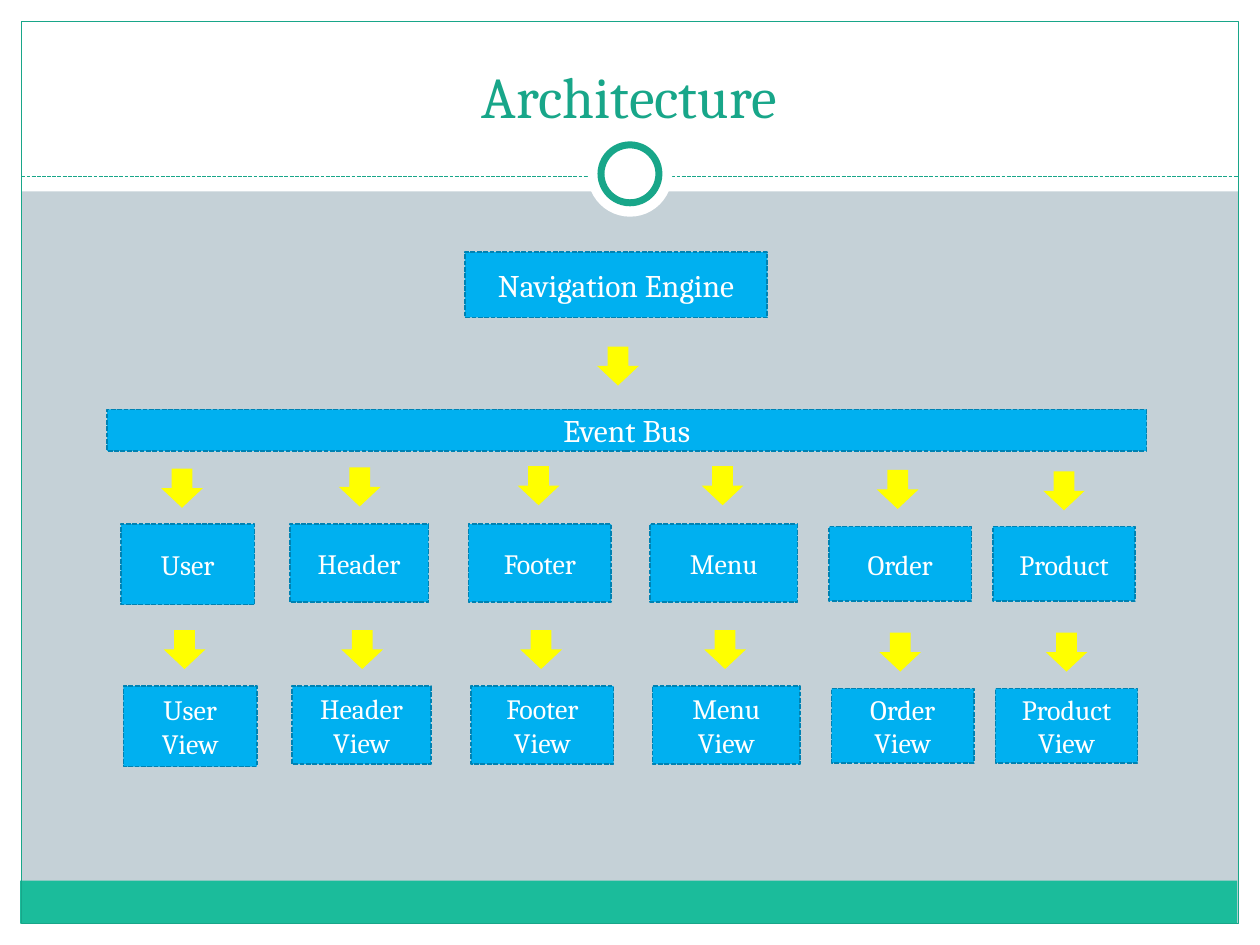
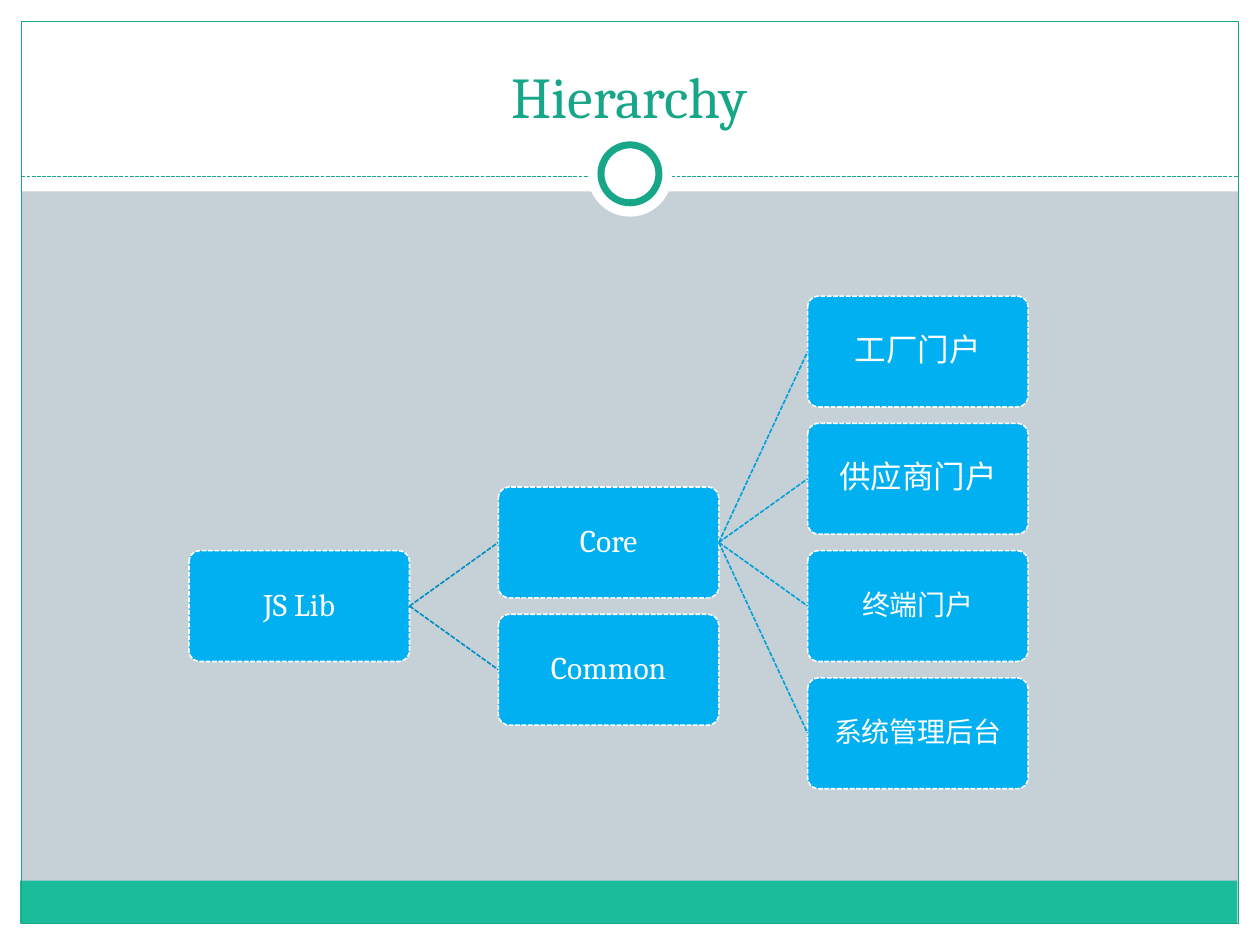
from dataclasses import dataclass
from typing import NamedTuple

from lxml.etree import SubElement
from pptx import Presentation
from pptx.dml.color import RGBColor
from pptx.enum.dml import MSO_LINE
from pptx.enum.shapes import MSO_CONNECTOR, MSO_SHAPE as Preset
from pptx.enum.text import MSO_ANCHOR as Anchor, PP_ALIGN as Align
from pptx.oxml.ns import qn
from pptx.shapes.autoshape import Shape
from pptx.shapes.connector import Connector
from pptx.slide import Slide
from pptx.util import Emu, Inches, Pt

COLUMNS, ROWS = 100, 75
WIDTH, HEIGHT = Inches(10), Inches(7.5)
FONT = "Cambria"
WHITE, GREY = "FFFFFF", "C5D1D7"
TEAL, MINT = "18A689", "1BBC9B"
BLUE, BLUE_EDGE, YELLOW = "00B0F0", "0082B2", "FFFF00"
LEFT_SIDE, RIGHT_SIDE = 1, 3


class Area(NamedTuple):
    column: float
    row: float
    columns: float
    rows: float

    def shifted(self, columns: float, rows: float) -> "Area":
        return Area(self.column + columns, self.row + rows, self.columns, self.rows)

    def lengths(self) -> list[Emu]:
        return [across(self.column), down(self.row), across(self.columns), down(self.rows)]


class Stroke(NamedTuple):
    color: str
    points: float
    dashed: bool = False


class Label(NamedTuple):
    lines: tuple[str, ...]
    size: float
    color: str = WHITE
    spacing: float = 1.0


@dataclass(frozen=True)
class Band:
    preset: Preset
    area: Area
    fill: str | None = WHITE
    stroke: Stroke | None = None


@dataclass(frozen=True)
class Module:
    name: str
    box: Area
    arrow_column: float
    arrow_row: float


@dataclass(frozen=True)
class Node:
    name: str
    tier: int
    slot: float
    parent: str | None = None
    size: int = 18


BACK_BANDS = (
    Band(Preset.RECTANGLE, Area(0, 73.3, COLUMNS, 1.7)),
    Band(Preset.RECTANGLE, Area(0, 0, COLUMNS, 15.2)),
    Band(Preset.RECTANGLE, Area(0, 0, 1.7, ROWS)),
    Band(Preset.RECTANGLE, Area(98.3, 0, 1.7, ROWS)),
    Band(Preset.RECTANGLE, Area(1.6, 69.9, 96.6, 3.4), MINT),
    Band(Preset.RECTANGLE, Area(1.7, 1.7, 96.6, 71.6), None, Stroke(TEAL, 0.75)),
)
RINGS = (
    Band(Preset.OVAL, Area(46.65, 10.5, 6.7, 6.7)),
    Band(Preset.OVAL, Area(47.7, 11.5, 4.6, 4.6), WHITE, Stroke(TEAL, 4)),
)
BOX_EDGE = Stroke(BLUE_EDGE, 0.9, True)
VIEW_SHIFT = (0.2, 12.85)
MODULES = (
    Module("User", Area(9.6, 41.6, 10.6, 6.4), 12.8, 37.2),
    Module("Header", Area(23, 41.6, 11, 6.2), 26.9, 37.1),
    Module("Footer", Area(37.2, 41.6, 11.3, 6.2), 41.1, 37),
    Module("Menu", Area(51.6, 41.6, 11.7, 6.2), 55.7, 37),
    Module("Order", Area(65.8, 41.8, 11.3, 5.9), 69.6, 37.3),
    Module("Product", Area(78.8, 41.8, 11.3, 5.9), 82.8, 37.4),
)
NODE_EDGE = Stroke(WHITE, 0.9, True)
FIRST_NODE = Area(15, 23.5, 17.5, 8.8)
TIER_STEP, SLOT_STEP = 24.55, 10.1
LINK_COLORS = {1: "008DC0", 2: "00A0DA"}
NODES = (
    Node("JS Lib", 0, 2),
    Node("Core", 1, 1.5, "JS Lib"),
    Node("Common", 1, 2.5, "JS Lib"),
    Node("工厂门户", 2, 0, "Core"),
    Node("供应商门户", 2, 1, "Core"),
    Node("终端门户", 2, 2, "Core", 16),
    Node("系统管理后台", 2, 3, "Core", 16),
)


def across(columns: float) -> Emu:
    return Emu(round(WIDTH * columns / COLUMNS))


def down(rows: float) -> Emu:
    return Emu(round(HEIGHT * rows / ROWS))


def rgb(color: str) -> RGBColor:
    return RGBColor.from_string(color)


def apply_stroke(item: Shape | Connector, stroke: Stroke | None) -> None:
    if stroke is None:
        item.line.fill.background()
        return
    item.line.color.rgb = rgb(stroke.color)
    item.line.width = Pt(stroke.points)
    if stroke.dashed:
        item.line.dash_style = MSO_LINE.SQUARE_DOT


def write_label(box: Shape, label: Label, anchor: Anchor = Anchor.MIDDLE) -> None:
    frame = box.text_frame
    frame.word_wrap = True
    frame.vertical_anchor = anchor
    for index, line in enumerate(label.lines):
        para = frame.add_paragraph() if index else frame.paragraphs[0]
        para.alignment = Align.CENTER
        para.line_spacing = label.spacing
        span = para.add_run()
        span.text = line
        span.font.name = FONT
        span.font.size = Pt(label.size)
        span.font.color.rgb = rgb(label.color)


def draw_shape(page: Slide, preset: Preset, area: Area, fill: str | None,
               stroke: Stroke | None = None, label: Label | None = None) -> Shape:
    shape = page.shapes.add_shape(preset, *area.lengths())
    shape.shadow.inherit = False
    if fill is None:
        shape.fill.background()
    else:
        shape.fill.solid()
        shape.fill.fore_color.rgb = rgb(fill)
    apply_stroke(shape, stroke)
    if label:
        write_label(shape, label)
    return shape


def draw_line(page: Slide, stroke: Stroke, start: tuple[float, float] = (0, 0),
              end: tuple[float, float] = (0, 0)) -> Connector:
    line = page.shapes.add_connector(
        MSO_CONNECTOR.STRAIGHT, across(start[0]), down(start[1]), across(end[0]), down(end[1]))
    apply_stroke(line, stroke)
    SubElement(line._element.spPr, qn("a:effectLst"))
    return line


def draw_bands(page: Slide, bands: tuple[Band, ...]) -> None:
    for band in bands:
        draw_shape(page, band.preset, band.area, band.fill, band.stroke)


def add_page(deck: Presentation, title: str) -> Slide:
    page = deck.slides.add_slide(deck.slide_layouts[6])
    page.background.fill.solid()
    page.background.fill.fore_color.rgb = rgb(GREY)
    draw_bands(page, BACK_BANDS)
    draw_line(page, Stroke(TEAL, 0.75, True), (1.7, 14), (98.3, 14))
    draw_bands(page, RINGS)
    heading = page.shapes.add_textbox(*Area(3.3, 2.5, 93.3, 8.3).lengths())
    write_label(heading, Label((title,), 33, TEAL), Anchor.BOTTOM)
    return page


def draw_box(page: Slide, area: Area, size: int, *lines: str) -> None:
    draw_shape(page, Preset.RECTANGLE, area, BLUE, BOX_EDGE, Label(lines, size))


def draw_arrow(page: Slide, column: float, row: float) -> None:
    draw_shape(page, Preset.DOWN_ARROW, Area(column, row, 3.3, 3.1), YELLOW)


def build_architecture(deck: Presentation) -> None:
    page = add_page(deck, "Architecture")
    draw_box(page, Area(36.9, 20, 24, 5.2), 18, "Navigation Engine")
    draw_arrow(page, 47.4, 27.5)
    draw_box(page, Area(8.5, 32.5, 82.5, 3.3), 18, "Event Bus")
    for module in MODULES:
        draw_arrow(page, module.arrow_column, module.arrow_row)
        draw_box(page, module.box, 16, module.name)
        draw_arrow(page, module.arrow_column + VIEW_SHIFT[0], module.box.row + 8.4)
        draw_box(page, module.box.shifted(*VIEW_SHIFT), 16, module.name, "View")


def build_hierarchy(deck: Presentation) -> None:
    page = add_page(deck, "Hierarchy")
    boxes: dict[str, Shape] = {}
    for node in NODES:
        area = FIRST_NODE.shifted(node.tier * TIER_STEP, node.slot * SLOT_STEP)
        box = draw_shape(page, Preset.ROUNDED_RECTANGLE, area, BLUE, NODE_EDGE,
                         Label((node.name,), node.size, spacing=0.9))
        box.adjustments[0] = 0.1
        boxes[node.name] = box
        if node.parent:
            link = draw_line(page, Stroke(LINK_COLORS[node.tier], 0.9, True))
            link.begin_connect(boxes[node.parent], RIGHT_SIDE)
            link.end_connect(box, LEFT_SIDE)


def main() -> None:
    deck = Presentation()
    deck.slide_width, deck.slide_height = WIDTH, HEIGHT
    build_architecture(deck)
    build_hierarchy(deck)
    deck.save("out.pptx")


if __name__ == "__main__":
    main()
